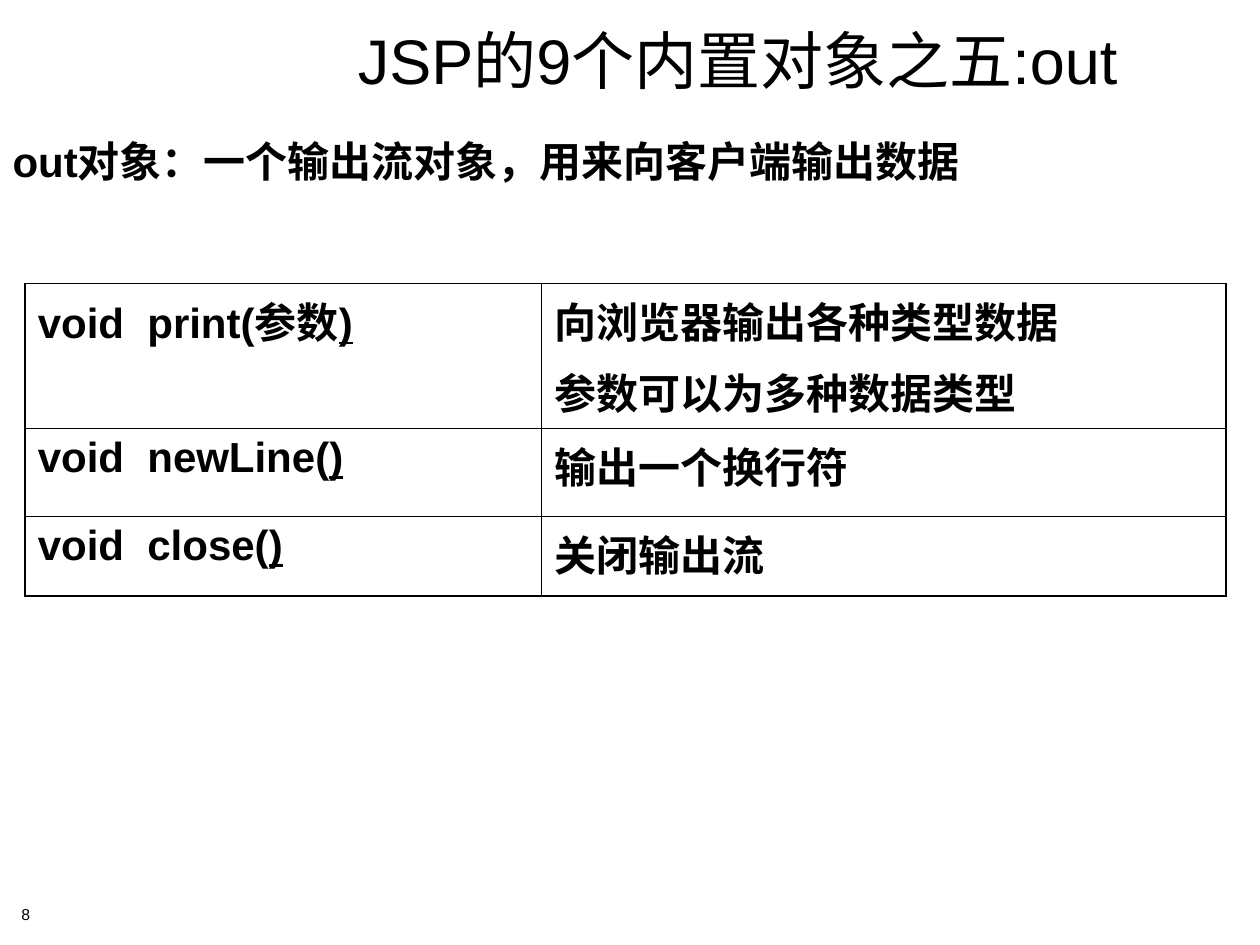
import pptx
import pptx.dml.color
import pptx.enum.text
import pptx.oxml.ns
import pptx.util
from lxml import etree
from pptx.util import Inches

LATIN, EAST_ASIAN = "Arial", "Noto Sans CJK SC"
BLACK = "000000"
OUTER, INNER = 1.08, 0.45  # border widths in points

METHODS = [
    (1.15, "void  print(参数", ["向浏览器输出各种类型数据", "参数可以为多种数据类型"]),
    (0.70, "void  newLine(", ["输出一个换行符"]),
    (0.63, "void  close(", ["关闭输出流"]),
]


def color(hex_text):
    return pptx.dml.color.RGBColor.from_string(hex_text)


def add_span(para, text, size, bold=False, underline=False):
    span = para.add_run()
    span.text = text
    font = span.font
    font.size = pptx.util.Pt(size)
    font.bold = bold
    font.underline = underline
    font.color.rgb = color(BLACK)
    font.name = LATIN
    latin = font._element.find(pptx.oxml.ns.qn("a:latin"))
    east = etree.Element(pptx.oxml.ns.qn("a:ea"), typeface=EAST_ASIAN)
    latin.addnext(east)


def place(shape, box):
    shape.left, shape.top, shape.width, shape.height = map(Inches, box)
    frame = shape.text_frame
    frame.word_wrap = True
    frame.auto_size = pptx.enum.text.MSO_AUTO_SIZE.NONE
    return frame


def add_title(page, box):
    frame = place(page.shapes.title, box)
    frame.vertical_anchor = pptx.enum.text.MSO_ANCHOR.MIDDLE
    para = frame.paragraphs[0]
    para.alignment = pptx.enum.text.PP_ALIGN.CENTER
    add_span(para, "JSP的9个内置对象之五:out", 36)


def add_summary(page, box):
    para = place(page.placeholders[1], box).paragraphs[0]
    properties = para._p.get_or_add_pPr()
    properties.set("marL", str(Inches(0.38)))
    properties.set("indent", str(Inches(-0.38)))
    etree.SubElement(properties, pptx.oxml.ns.qn("a:buNone"))
    para.line_spacing = 0.9
    para.space_before = pptx.util.Pt(0)
    add_span(para, "out对象：一个输出流对象，用来向客户端输出数据", 24, bold=True)


def set_borders(cell, widths):
    properties = cell._tc.get_or_add_tcPr()
    for side, width in widths.items():
        line = etree.SubElement(properties, pptx.oxml.ns.qn("a:ln" + side),
                                w=str(pptx.util.Pt(width)))
        fill = etree.SubElement(line, pptx.oxml.ns.qn("a:solidFill"))
        etree.SubElement(fill, pptx.oxml.ns.qn("a:srgbClr"), val=BLACK)


def add_methods(page, box):
    last = len(METHODS) - 1
    table = page.shapes.add_table(len(METHODS), 2, *map(Inches, box)).table
    table.first_row = table.horz_banding = False
    for column, share in zip(table.columns, (0.43, 0.57)):
        column.width = Inches(round(box[2] * share, 2))

    for row, (height, call, notes) in enumerate(METHODS):
        table.rows[row].height = Inches(height)
        for column in range(2):
            cell = table.cell(row, column)
            set_borders(cell, {
                "L": OUTER if column == 0 else INNER,
                "R": OUTER if column == 1 else INNER,
                "T": OUTER if row == 0 else INNER,
                "B": OUTER if row == last else INNER,
            })
            cell.fill.background()

        # Method signature, with its closing bracket underlined
        para = table.cell(row, 0).text_frame.paragraphs[0]
        add_span(para, call, 24, bold=True)
        add_span(para, ")", 24, bold=True, underline=True)

        # What the method does
        frame = table.cell(row, 1).text_frame
        for index, note in enumerate(notes):
            para = frame.add_paragraph() if index else frame.paragraphs[0]
            if index:
                para.space_before = pptx.util.Pt(6)
            add_span(para, note, 24, bold=True)


def add_page_number(page, box):
    frame = place(page.shapes.add_textbox(0, 0, 0, 0), box)
    frame.margin_left = frame.margin_right = 0
    frame.margin_top = frame.margin_bottom = 0
    frame.vertical_anchor = pptx.enum.text.MSO_ANCHOR.MIDDLE
    add_span(frame.paragraphs[0], "8", 9)


def main():
    deck = pptx.Presentation()
    deck.slide_width, deck.slide_height = Inches(10), Inches(7.5)
    page = deck.slides.add_slide(deck.slide_layouts[1])
    add_page_number(page, (0.17, 7.17, 9.67, 0.17))
    add_title(page, (1.71, 0, 8.29, 0.94))
    add_summary(page, (0, 1.07, 9.45, 1.5))
    add_methods(page, (0.2, 2.25, 9.53, 2.48))
    deck.save("out.pptx")


if __name__ == "__main__":
    main()
